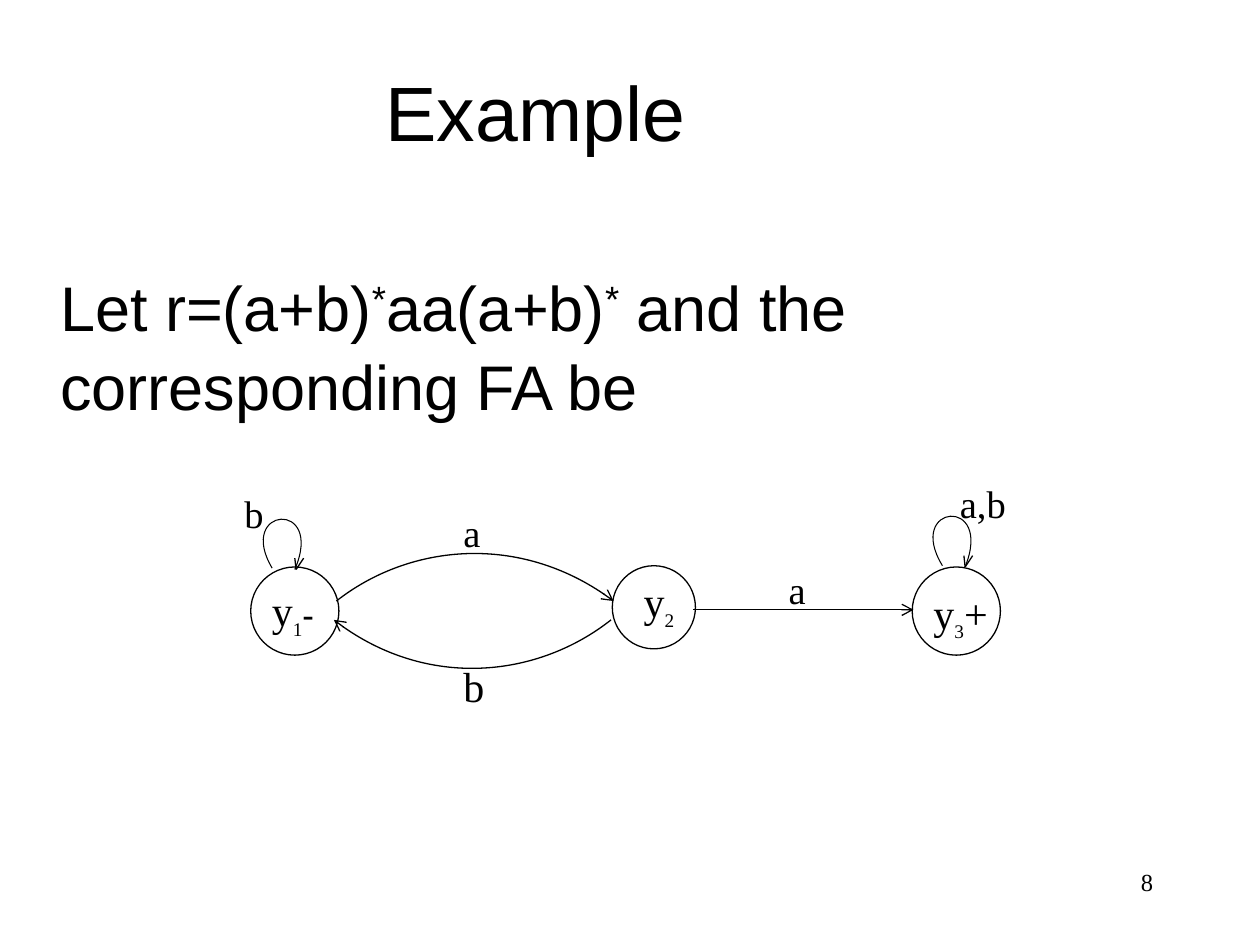
from lxml import etree
from pptx import Presentation
from pptx.dml.color import RGBColor
from pptx.enum.shapes import MSO_CONNECTOR, MSO_SHAPE
from pptx.enum.text import MSO_ANCHOR, PP_ALIGN
from pptx.oxml.ns import qn
from pptx.util import Inches, Pt

BLACK = RGBColor(0, 0, 0)
WHITE = RGBColor(255, 255, 255)
LEFT, CENTER, RIGHT = PP_ALIGN.LEFT, PP_ALIGN.CENTER, PP_ALIGN.RIGHT
TOP, MIDDLE = MSO_ANCHOR.TOP, MSO_ANCHOR.MIDDLE
STRAIGHT, OVAL = MSO_CONNECTOR.STRAIGHT, MSO_SHAPE.OVAL
SERIF = "Times New Roman"

prs = Presentation()
prs.slide_width, prs.slide_height = Inches(10), Inches(7.5)
s = prs.slides.add_slide(prs.slide_layouts[6])


def add_text(box, runs, font=SERIF, align=LEFT, anchor=TOP):
    """Add a text box; each run is (text, size, baseline percent, bold)."""
    tf = s.shapes.add_textbox(*map(Inches, box)).text_frame
    tf.word_wrap, tf.vertical_anchor = True, anchor
    p = tf.paragraphs[0]
    p.alignment = align
    for text, size, base, bold in runs:
        r = p.add_run()
        r.text = text
        for name, value in {"name": font, "size": Pt(size), "bold": bold}.items():
            setattr(r.font, name, value)
        r.font.color.rgb = BLACK
        if base:
            r.font._element.set("baseline", str(base * 1000))
    return p


def style_line(sp, width=0.74, arrow=False):
    """Black outline without shadow, with an optional arrowhead at its end."""
    sp.line.color.rgb = BLACK
    sp.line.width = Pt(width)
    if arrow:
        etree.SubElement(sp.line._get_or_add_ln(), qn("a:tailEnd"), type="arrow")
    etree.SubElement(sp._element.spPr, qn("a:effectLst"))


# Title, statement and page number
add_text((0, 0.25, 8.5, 1.25), [("Example", 44, 0, False)], "Arial", CENTER, MIDDLE)
statement = [("Let r=(a+b)", 0), ("*", 30), ("aa(a+b)", 0), ("*", 30),
             (" and the corresponding FA be", 0)]
p = add_text((0, 2.06, 8.94, 4.56), [(t, 36, base, False) for t, base in statement], "Arial")
p._p.get_or_add_pPr().set("marL", str(Inches(0.38)))
p.line_spacing, p.space_before = 1.04, Pt(2)
add_text((7.17, 6.83, 2.08, 0.5), [("8", 14, 0, False)], align=RIGHT)

# States
for x, y, d in [(1.99, 4.5, 0.7), (4.86, 4.49, 0.66), (7.24, 4.5, 0.7)]:
    sp = s.shapes.add_shape(OVAL, Inches(x), Inches(y), Inches(d), Inches(d))
    sp.fill.solid()
    sp.fill.fore_color.rgb = WHITE
    style_line(sp)

# Curved transitions: start, two control points, end
curves = [
    ([(2.67, 4.77), (3.23, 4.33), (4.14, 4.22), (4.87, 4.77)], 0.74, True),
    ([(4.85, 4.92), (4.28, 5.37), (3.37, 5.48), (2.65, 4.92)], 0.74, True),
    ([(2.16, 4.51), (1.87, 4.02), (2.58, 3.96), (2.34, 4.52)], 0.6, False),
    ([(7.48, 4.49), (7.18, 4), (7.89, 3.93), (7.66, 4.5)], 0.6, False),
]
for points, width, arrow in curves:
    start, *rest = [(Inches(x), Inches(y)) for x, y in points]
    builder = s.shapes.build_freeform(*start)
    builder.add_line_segments(rest, close=False)
    sp = builder.convert_to_shape()
    path = sp._element.find(".//" + qn("a:path"))
    bezier = etree.SubElement(path, qn("a:cubicBezTo"))
    for segment in path.findall(qn("a:lnTo")):
        bezier.append(segment[0])
        path.remove(segment)
    sp.fill.background()
    style_line(sp, width, arrow)

# Straight transition and the arrowheads of the two loops
lines = [((5.5, 4.84), (7.25, 4.84), True)]
for x, y in [(2.35, 4.52), (7.66, 4.5)]:
    lines += [((x, y), (x + 0.06, y - 0.09), False), ((x - 0.01, y - 0.09), (x, y), False)]
for start, end, arrow in lines:
    cn = s.shapes.add_connector(STRAIGHT, *map(Inches, start + end))
    style_line(cn, arrow=arrow)

# Transition labels
for text, size, box in [
    ("b", 22, (1.84, 3.84, 0.98, 0.67)),
    ("a", 22, (3.58, 3.99, 0.41, 0.4)),
    ("b", 24, (3.58, 5.19, 0.41, 0.4)),
    ("a", 22, (6.16, 4.44, 0.41, 0.4)),
    ("a,b", 22, (7.52, 3.76, 0.98, 0.67)),
]:
    add_text(box, [(text, size, 0, False)])

# State names: y, subscript, start or final mark
for number, mark, box in [
    ("1", [("-", 19, 0, True)], (2.06, 4.59, 0.8, 0.46)),
    ("2", [], (5.01, 4.52, 0.8, 0.45)),
    ("3", [("+", 24, 0, False)], (7.31, 4.61, 0.77, 0.34)),
]:
    add_text(box, [("y", 24, 0, False), (number, 19, -30, False)] + mark)

prs.save("out.pptx")
